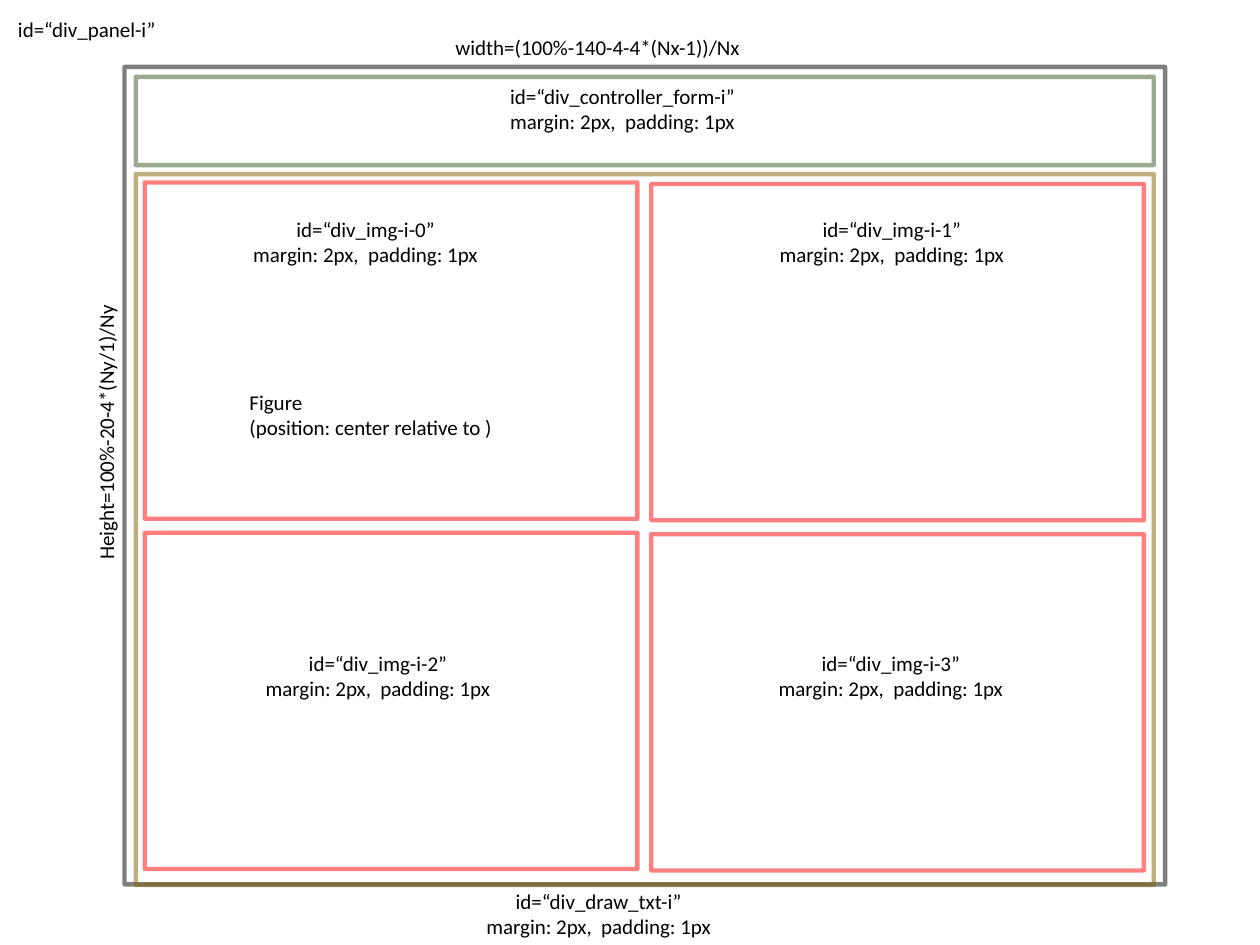
import dataclasses
import itertools
import typing

import lxml.etree
import pptx
import pptx.dml.color
import pptx.enum.shapes
import pptx.enum.text
import pptx.oxml.ns
import pptx.slide
import pptx.util

Cm = pptx.util.Cm
Align = pptx.enum.text.PP_ALIGN


@dataclasses.dataclass(frozen=True)
class Theme:
    font: str = "Calibri"
    text_size: float = 12
    text: str = "000000"
    panel: str = "000000"
    drawing: str = "806000"
    controller: str = "385723"
    image: str = "FF0000"
    line_width: float = 2.5
    line_opacity: int = 50


@dataclasses.dataclass(frozen=True)
class Area:
    left: float
    top: float
    width: float
    height: float

    def lengths(self) -> typing.List[pptx.util.Length]:
        return [Cm(value) for value in dataclasses.astuple(self)]


@dataclasses.dataclass(frozen=True)
class Frame:
    area: Area
    color: str


THEME = Theme()
SPACING = "margin: 2px,  padding: 1px"
ONE_LINE = 0.76
TWO_LINES = 1.27
IMAGE_LABEL_WIDTH = 5.18

FRAMES = [
    Frame(Area(2.51, 1.35, 20.98, 16.48), THEME.panel),
    Frame(Area(2.74, 3.51, 20.52, 14.33), THEME.drawing),
    Frame(Area(2.74, 1.55, 20.52, 1.78), THEME.controller),
]
IMAGE_FRAMES = [
    Frame(
        Area(2.92 + column * 10.21, 3.68 + row * 7.06 + column * 0.03, 9.93, 6.78),
        THEME.image,
    )
    for row, column in itertools.product(range(2), repeat=2)
]
IMAGE_LABELS = [(4.78, 4.24), (15.39, 4.24), (5.03, 12.98), (15.37, 12.98)]


def draw_frame(page: pptx.slide.Slide, frame: Frame) -> None:
    box = page.shapes.add_shape(
        pptx.enum.shapes.MSO_SHAPE.RECTANGLE, *frame.area.lengths()
    )
    box.shadow.inherit = False
    box.fill.background()
    box.line.width = pptx.util.Pt(THEME.line_width)
    box.line.color.rgb = pptx.dml.color.RGBColor.from_string(frame.color)
    color = box.line._ln.find(".//" + pptx.oxml.ns.qn("a:srgbClr"))
    alpha = lxml.etree.SubElement(color, pptx.oxml.ns.qn("a:alpha"))
    alpha.set("val", str(THEME.line_opacity * 1000))


def write_text(
    page: pptx.slide.Slide,
    lines: typing.Sequence[str],
    area: Area,
    *,
    align: Align = Align.CENTER,
    rotation: float = 0,
    size: float = THEME.text_size,
    color: str = THEME.text,
) -> None:
    box = page.shapes.add_textbox(*area.lengths())
    box.rotation = rotation
    frame = box.text_frame
    frame.word_wrap = False
    frame.auto_size = pptx.enum.text.MSO_AUTO_SIZE.SHAPE_TO_FIT_TEXT
    for index, line in enumerate(lines):
        para = frame.add_paragraph() if index else frame.paragraphs[0]
        para.alignment = align
        span = para.add_run()
        span.text = line
        span.font.name = THEME.font
        span.font.size = pptx.util.Pt(size)
        span.font.color.rgb = pptx.dml.color.RGBColor.from_string(color)


def main() -> None:
    deck = pptx.Presentation()
    deck.slide_width, deck.slide_height = Cm(25.4), Cm(19.05)
    page = deck.slides.add_slide(deck.slide_layouts[6])

    for frame in FRAMES + IMAGE_FRAMES:
        draw_frame(page, frame)

    write_text(page, ["id=“div_panel-i”"], Area(0.1, 0.2, 3.3, ONE_LINE))
    write_text(
        page, ["width=(100%-140-4-4*(Nx-1))/Nx"], Area(8.89, 0.58, 6.32, ONE_LINE)
    )
    write_text(
        page,
        ["Height=100%-20-4*(Ny/1)/Ny"],
        Area(-0.71, 8.31, 5.69, ONE_LINE),
        align=Align.LEFT,
        rotation=270,
    )
    write_text(
        page,
        ["Figure", "(position: center relative to )"],
        Area(4.78, 7.72, 5.46, TWO_LINES),
        align=Align.LEFT,
    )
    write_text(
        page,
        ["id=“div_controller_form-i”", SPACING],
        Area(9.96, 1.55, 5.18, TWO_LINES),
    )
    write_text(
        page, ["id=“div_draw_txt-i”", SPACING], Area(9.53, 17.78, 5.08, TWO_LINES)
    )
    for index, (left, top) in enumerate(IMAGE_LABELS):
        write_text(
            page,
            [f"id=“div_img-i-{index}”", SPACING],
            Area(left, top, IMAGE_LABEL_WIDTH, TWO_LINES),
        )

    deck.save("out.pptx")


if __name__ == "__main__":
    main()
